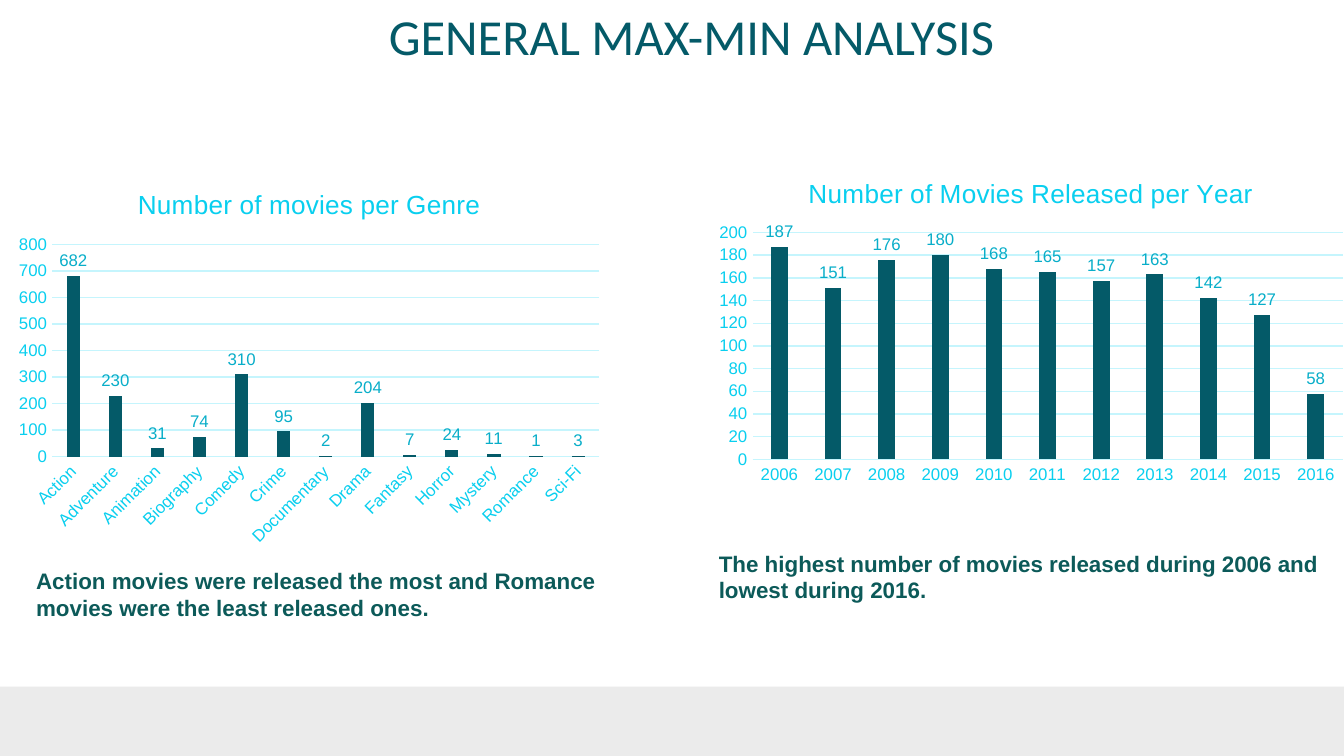
import pptx
import pptx.chart.data
import pptx.dml.color
import pptx.enum.chart
import pptx.enum.shapes
import pptx.enum.text
import pptx.oxml
import pptx.oxml.ns
import pptx.util

Inches = pptx.util.Inches
Pt = pptx.util.Pt

COLORS = {
    "band": "EBEBEB",
    "dark": "045A68",
    "axis": "09CFEF",
    "grid": "C5F5FD",
    "label": "08AEC9",
    "caption": "0C5A59",
}


def style_font(font, size, color, name="Arial", bold=False):
    font.size = Pt(size)
    font.name = name
    font.bold = bold
    font.color.rgb = pptx.dml.color.RGBColor.from_string(COLORS[color])


def layout_xml(frame, place):
    """Manual layout of a chart part; frame and place are in slide inches."""
    left, top, width, height = frame
    fractions = {"x": (place[0] - left) / width, "y": (place[1] - top) / height}
    target = ""
    if len(place) == 4:
        target = '<c:layoutTarget val="inner"/>'
        fractions.update(w=place[2] / width, h=place[3] / height)
    modes = '<c:xMode val="edge"/><c:yMode val="edge"/>'
    values = "".join(f'<c:{key} val="{value:.4f}"/>' for key, value in fractions.items())
    return pptx.oxml.parse_xml(
        f'<c:layout {pptx.oxml.ns.nsdecls("c")}>'
        f"<c:manualLayout>{target}{modes}{values}</c:manualLayout></c:layout>"
    )


# 16:9 slide
presentation = pptx.Presentation()
presentation.slide_width = Inches(10)
presentation.slide_height = Inches(10) * 9 // 16
slide = presentation.slides.add_slide(presentation.slide_layouts[5])

# Footer band, down to the slide's lower edge
band_top = Inches(5.11)
band = slide.shapes.add_shape(
    pptx.enum.shapes.MSO_SHAPE.RECTANGLE,
    0, band_top, presentation.slide_width, presentation.slide_height - band_top,
)
band.shadow.inherit = False
band.fill.solid()
band.fill.fore_color.rgb = pptx.dml.color.RGBColor.from_string(COLORS["band"])
band.line.fill.background()

# Title
title = slide.shapes.title
title.left, title.top = Inches(0.93), Inches(0.09)
title.width, title.height = Inches(8.43), Inches(0.35)
title_frame = title.text_frame
title_frame.auto_size = pptx.enum.text.MSO_AUTO_SIZE.NONE
title_frame.vertical_anchor = pptx.enum.text.MSO_ANCHOR.MIDDLE
title_frame.margin_left = title_frame.margin_right = Inches(0.1)
title_frame.margin_top = title_frame.margin_bottom = Inches(0.1)
paragraph = title_frame.paragraphs[0]
paragraph.alignment = pptx.enum.text.PP_ALIGN.CENTER
run = paragraph.add_run()
run.text = "GENERAL MAX-MIN ANALYSIS"
style_font(run.font, 27, "dark", "Calibri")

# Charts
charts = [
    {
        "title": "Number of movies per Genre",
        "frame": (0.06, 1.26, 4.5, 2.86),
        "values": {
            "Action": 682, "Adventure": 230, "Animation": 31, "Biography": 74,
            "Comedy": 310, "Crime": 95, "Documentary": 2, "Drama": 204, "Fantasy": 7,
            "Horror": 24, "Mystery": 11, "Romance": 1, "Sci-Fi": 3,
        },
        "maximum": 800,
        "step": 100,
        "rotation": -45,
        "title_place": (0.99, 1.36),
        "plot_place": (0.39, 1.82, 4.07, 1.58),
    },
    {
        "title": "Number of Movies Released per Year",
        "frame": (5.25, 1.18, 4.83, 2.47),
        "values": dict(zip(
            map(str, range(2006, 2017)),
            (187, 151, 176, 180, 168, 165, 157, 163, 142, 127, 58),
        )),
        "maximum": 200,
        "step": 20,
        "rotation": 0,
        "title_place": (5.98, 1.28),
        "plot_place": (5.6, 1.73, 4.39, 1.69),
    },
]

for item in charts:
    data = pptx.chart.data.CategoryChartData()
    data.categories = list(item["values"])
    data.add_series("Series 1", list(item["values"].values()))
    chart = slide.shapes.add_chart(
        pptx.enum.chart.XL_CHART_TYPE.COLUMN_CLUSTERED, *map(Inches, item["frame"]), data
    ).chart
    chart.has_legend = False
    style_font(chart.font, 10, "dark")

    # Chart title
    chart.has_title = True
    run = chart.chart_title.text_frame.paragraphs[0].add_run()
    run.text = item["title"]
    style_font(run.font, 14, "axis")
    chart.chart_title.include_in_layout = False
    title_element = chart.chart_title._element
    for old_layout in title_element.findall(pptx.oxml.ns.qn("c:layout")):
        title_element.remove(old_layout)
    title_text = title_element.find(pptx.oxml.ns.qn("c:tx"))
    title_text.addnext(layout_xml(item["frame"], item["title_place"]))

    # Plot area and columns
    plot = chart.plots[0]
    plot.gap_width = 219
    plot.overlap = -27
    plot.vary_by_categories = False
    plot_area = plot._element.getparent()
    for old_layout in plot_area.findall(pptx.oxml.ns.qn("c:layout")):
        plot_area.remove(old_layout)
    plot_area.insert(0, layout_xml(item["frame"], item["plot_place"]))
    series = plot.series[0]
    series.format.fill.solid()
    series.format.fill.fore_color.rgb = pptx.dml.color.RGBColor.from_string(COLORS["dark"])
    labels = series.data_labels
    labels.show_value = True
    labels.position = pptx.enum.chart.XL_LABEL_POSITION.OUTSIDE_END
    style_font(labels.font, 9, "label")

    # Axes
    category_axis, value_axis = chart.category_axis, chart.value_axis
    for axis in (category_axis, value_axis):
        axis.major_tick_mark = pptx.enum.chart.XL_TICK_MARK.NONE
        axis.minor_tick_mark = pptx.enum.chart.XL_TICK_MARK.NONE
        style_font(axis.tick_labels.font, 9, "axis")
    value_axis.minimum_scale = 0
    value_axis.maximum_scale = item["maximum"]
    value_axis.major_unit = item["step"]
    value_axis.has_major_gridlines = True
    value_axis.format.line.fill.background()
    for line in (category_axis.format.line, value_axis.major_gridlines.format.line):
        line.color.rgb = pptx.dml.color.RGBColor.from_string(COLORS["grid"])
        line.width = Pt(0.75)
    label_body = category_axis._element.find(
        f'{pptx.oxml.ns.qn("c:txPr")}/{pptx.oxml.ns.qn("a:bodyPr")}'
    )
    label_body.set("rot", str(item["rotation"] * 60000))

# Captions
captions = [
    ((0.17, 4.12, 4.39, 0.61),
     "Action movies were released the most and Romance movies were the least released ones."),
    ((5.25, 3.99, 5, 0.61),
     "The highest number of movies released during 2006 and lowest during 2016."),
]
for frame, text in captions:
    text_frame = slide.shapes.add_textbox(*map(Inches, frame)).text_frame
    text_frame.word_wrap = True
    text_frame.auto_size = pptx.enum.text.MSO_AUTO_SIZE.SHAPE_TO_FIT_TEXT
    text_frame.margin_left = text_frame.margin_right = Inches(0.1)
    text_frame.margin_top = text_frame.margin_bottom = Inches(0.1)
    run = text_frame.paragraphs[0].add_run()
    run.text = text
    style_font(run.font, 12, "caption", bold=True)

presentation.save("out.pptx")
